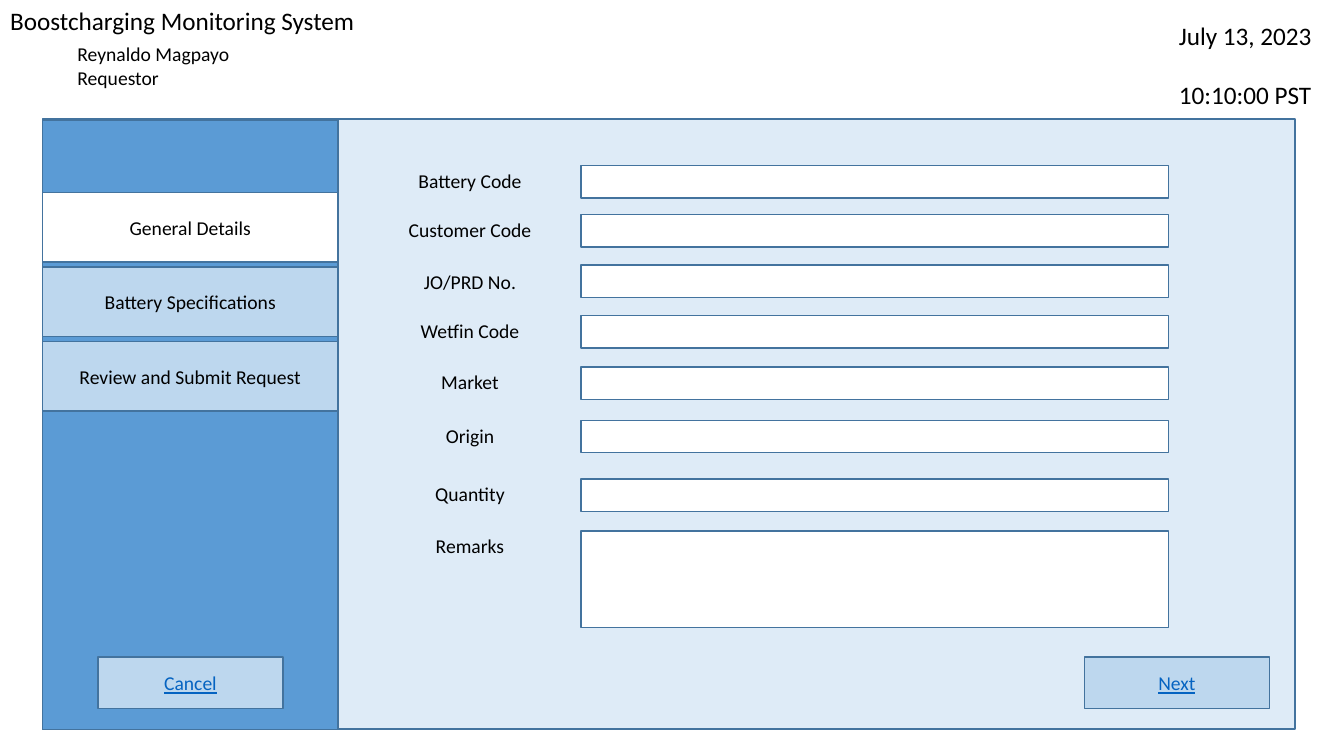
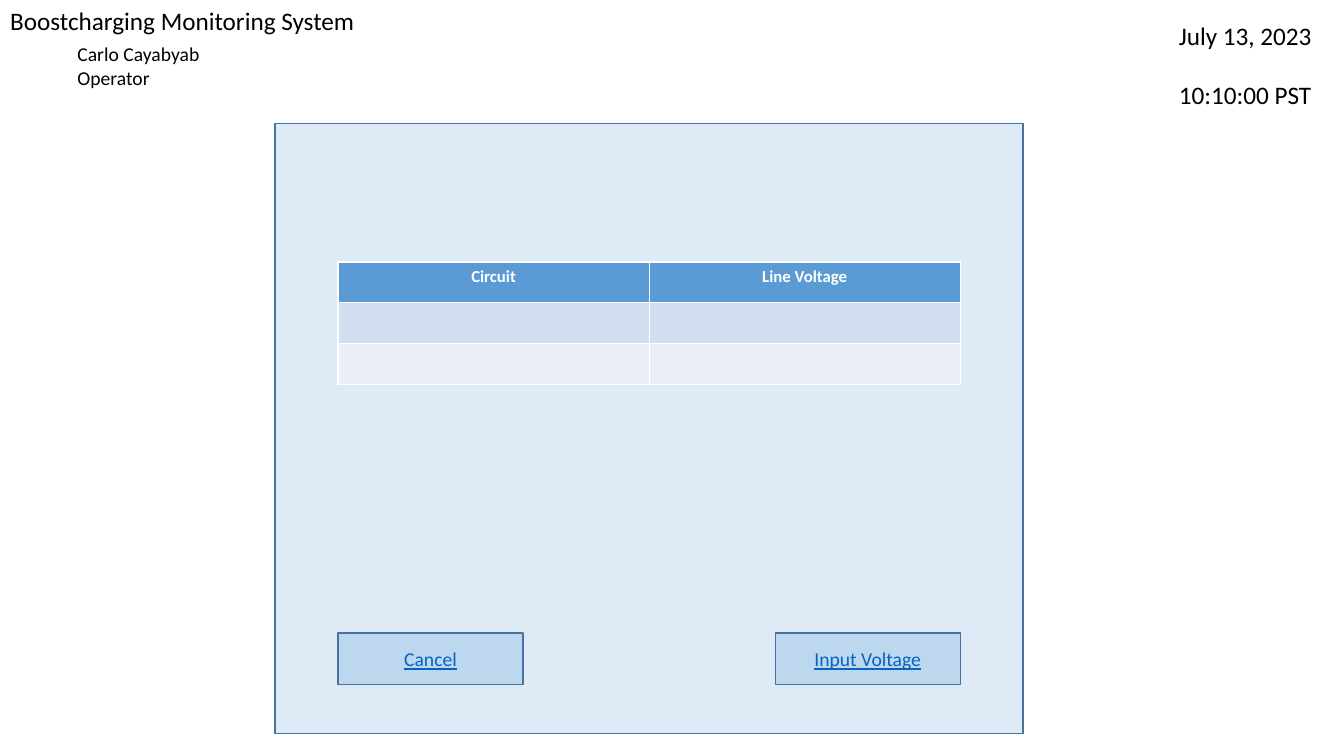
from dataclasses import dataclass

from pptx import Presentation
from pptx.dml.color import RGBColor
from pptx.enum.shapes import MSO_SHAPE as Preset
from pptx.enum.text import MSO_ANCHOR as Anchor, MSO_AUTO_SIZE as AutoSize, PP_ALIGN as Align
from pptx.shapes.autoshape import Shape
from pptx.slide import Slide
from pptx.text.text import TextFrame
from pptx.util import Cm, Pt

BLACK = RGBColor(0x00, 0x00, 0x00)
WHITE = RGBColor(0xFF, 0xFF, 0xFF)
PANEL = RGBColor(0xDE, 0xEB, 0xF7)
BLUE = RGBColor(0x5B, 0x9B, 0xD5)
BUTTON = RGBColor(0xBD, 0xD7, 0xEE)
OUTLINE = RGBColor(0x43, 0x73, 0x9E)
LINK = RGBColor(0x05, 0x63, 0xC1)
ROW_FILLS = (BLUE, RGBColor(0xD2, 0xDE, 0xEF), RGBColor(0xEA, 0xEF, 0xF7))

FONT = "Calibri"
TITLE_ONLY = 5


@dataclass(frozen=True)
class Area:
    """A rectangle measured in centimetres."""
    left: float
    top: float
    width: float
    height: float


@dataclass(frozen=True)
class TextStyle:
    size: float = 14
    color: RGBColor = BLACK
    align: Align = Align.CENTER
    bold: bool = False
    underline: bool = False
    gap: float = 0


@dataclass(frozen=True)
class Field:
    label: str
    label_top: float
    box_top: float
    height: float = 0.82


BODY = TextStyle()
HEADING = TextStyle(size=18, align=Align.LEFT)
CLOCK = TextStyle(size=18, align=Align.LEFT, gap=21)
USER = TextStyle(align=Align.LEFT)
LINK_TEXT = TextStyle(color=LINK, underline=True)
TABLE_HEAD = TextStyle(size=12, color=WHITE, bold=True)

SIDEBAR = Area(1.07, 3.02, 7.45, 15.37)
TABS = ("General Details", "Battery Specifications", "Review and Submit Request")
TAB_TOP, TAB_STEP, TAB_HEIGHT = 4.85, 1.88, 1.75

FIELDS = (
    Field("Battery Code", 4.14, 4.17),
    Field("Customer Code", 5.36, 5.41),
    Field("JO/PRD No.", 6.68, 6.68),
    Field("Wetfin Code", 7.92, 7.95),
    Field("Market", 9.2, 9.25),
    Field("Origin", 10.55, 10.59),
    Field("Quantity", 12.03, 12.07),
    Field("Remarks", 13.34, 13.38, 2.44),
)


def lengths(area: Area) -> tuple[Cm, Cm, Cm, Cm]:
    return Cm(area.left), Cm(area.top), Cm(area.width), Cm(area.height)


def write(frame: TextFrame, lines: tuple[str, ...], style: TextStyle) -> None:
    """Fill a text frame with one paragraph per line."""
    frame.word_wrap = True
    for index, line in enumerate(lines):
        para = frame.add_paragraph() if index else frame.paragraphs[0]
        para.text = line
        para.alignment = style.align
        para.space_before = Pt(style.gap if index else 0)
        para.font.name = FONT
        para.font.size = Pt(style.size)
        para.font.color.rgb = style.color
        para.font.bold = style.bold
        para.font.underline = style.underline


def add_text(slide: Slide, area: Area, lines: tuple[str, ...], style: TextStyle) -> None:
    write(slide.shapes.add_textbox(*lengths(area)).text_frame, lines, style)


def add_box(slide: Slide, area: Area, fill: RGBColor) -> Shape:
    box = slide.shapes.add_shape(Preset.RECTANGLE, *lengths(area))
    box.shadow.inherit = False
    box.fill.solid()
    box.fill.fore_color.rgb = fill
    box.line.color.rgb = OUTLINE
    box.line.width = Pt(1)
    return box


def add_captioned_box(slide: Slide, area: Area, fill: RGBColor, caption: str,
                      style: TextStyle = BODY) -> None:
    frame = add_box(slide, area, fill).text_frame
    frame.vertical_anchor = Anchor.MIDDLE
    write(frame, (caption,), style)


def add_button(slide: Slide, left: float, top: float, caption: str) -> None:
    add_captioned_box(slide, Area(left, top, 4.66, 1.3), BUTTON, caption, LINK_TEXT)


def add_page(deck: Presentation, user: str, role: str) -> Slide:
    """Start a page with the heading, user and clock that every page carries."""
    page = deck.slides.add_slide(deck.slide_layouts[TITLE_ONLY])
    title = page.shapes.title
    title.left, title.top, title.width, title.height = lengths(Area(0, 0, 25.33, 1.03))
    title.text_frame.auto_size = AutoSize.NONE
    title.text_frame.vertical_anchor = Anchor.TOP
    write(title.text_frame, ("Boostcharging Monitoring System",), HEADING)
    add_text(page, Area(29.46, 0.38, 4.3, 1.8), ("July 13, 2023", "10:10:00 PST"), CLOCK)
    add_text(page, Area(1.7, 0.94, 6.8, 1.45), (user, role), USER)
    return page


def add_request_page(deck: Presentation) -> None:
    page = add_page(deck, "Reynaldo Magpayo", "Requestor")
    add_box(page, Area(SIDEBAR.left, 3, 31.57, SIDEBAR.height), PANEL)
    add_box(page, SIDEBAR, BLUE)
    for index, tab in enumerate(TABS):
        area = Area(SIDEBAR.left, TAB_TOP + index * TAB_STEP, SIDEBAR.width, TAB_HEIGHT)
        add_captioned_box(page, area, BUTTON if index else WHITE, tab)
    for field in FIELDS:
        add_text(page, Area(9.33, field.label_top, 5.03, 0.86), (field.label,), BODY)
        add_box(page, Area(14.64, field.box_top, 14.81, field.height), WHITE)
    add_button(page, 2.47, 16.56, "Cancel")
    add_button(page, 27.33, 16.56, "Next")


def add_voltage_table(slide: Slide, area: Area) -> None:
    headers = ("Circuit", "Line Voltage")
    table = slide.shapes.add_table(len(ROW_FILLS), len(headers), *lengths(area)).table
    for row, fill in zip(table.rows, ROW_FILLS):
        for cell in row.cells:
            cell.fill.solid()
            cell.fill.fore_color.rgb = fill
    for cell, header in zip(table.rows[0].cells, headers):
        write(cell.text_frame, (header,), TABLE_HEAD)


def add_voltage_page(deck: Presentation) -> None:
    page = add_page(deck, "Carlo Cayabyab", "Operator")
    add_box(page, Area(6.93, 3.12, 18.85, 15.37), PANEL)
    add_voltage_table(page, Area(8.52, 6.6, 15.68, 3.09))
    add_button(page, 8.52, 15.95, "Cancel")
    add_button(page, 19.54, 15.95, "Input Voltage")


def main() -> None:
    deck = Presentation()
    deck.slide_width, deck.slide_height = Cm(33.87), Cm(19.05)
    add_request_page(deck)
    add_voltage_page(deck)
    deck.save("out.pptx")


if __name__ == "__main__":
    main()
